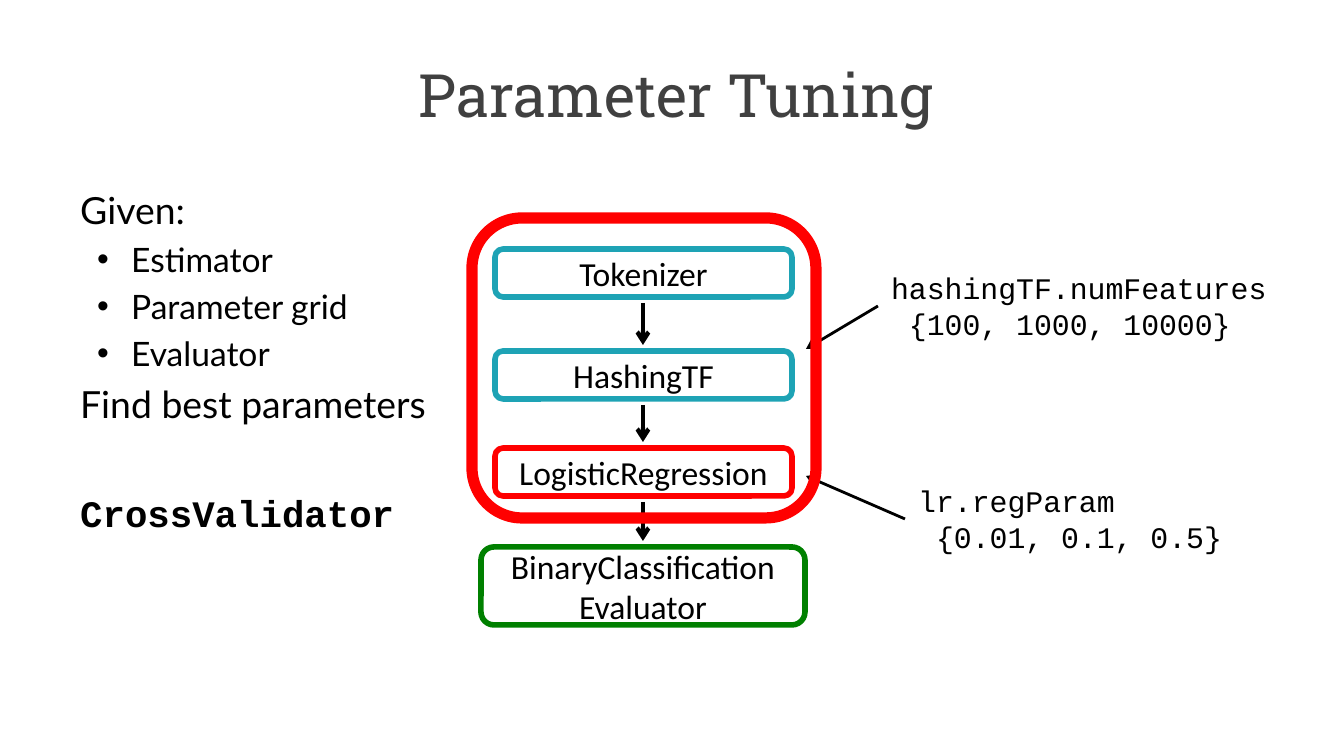
from itertools import pairwise

from lxml.etree import SubElement
from pptx import Presentation
from pptx.dml.color import RGBColor
from pptx.enum.shapes import MSO_CONNECTOR as Connector, MSO_SHAPE as Shape
from pptx.enum.text import MSO_ANCHOR as Anchor, MSO_AUTO_SIZE as AutoSize, PP_ALIGN as Align
from pptx.oxml.ns import qn
from pptx.util import Emu, Pt

PX = 914400 / 134.4
THEME = {
    "title": {"name": "Roboto Slab", "size": Pt(32), "color": "404040"},
    "body": {"name": "Lato", "size": Pt(20), "color": "000000"},
    "bullet": {"name": "Lato", "size": Pt(18), "color": "000000"},
    "stage": {"name": "Calibri", "size": Pt(18), "color": "000000"},
    "code": {"name": "Courier New", "size": Pt(16), "color": "000000"},
    "class": {"name": "Courier New", "size": Pt(20), "bold": True, "color": "000000"},
    "arrow": "000000",
    "transformer": "1EA3B5",
    "estimator": "FF0000",
    "evaluator": "008000",
}


def px(*lengths):
    return [Emu(round(length * PX)) for length in lengths]


def write(frame, lines, style, **para_format):
    for index, line in enumerate(lines):
        para = frame.paragraphs[0] if index == 0 else frame.add_paragraph()
        for name, value in para_format.items():
            setattr(para, name, value)
        span = para.add_run()
        span.text = line
        for name, value in THEME[style].items():
            if name == "color":
                span.font.color.rgb = RGBColor.from_string(value)
            else:
                setattr(span.font, name, value)


deck = Presentation()
deck.slide_width, deck.slide_height = px(1344, 756)
page = deck.slides.add_slide(deck.slide_layouts[6])

title = page.shapes.add_textbox(*px(149, 31, 1054, 126)).text_frame
title.word_wrap = True
title.vertical_anchor = Anchor.MIDDLE
write(title, ["Parameter Tuning"], "title", alignment=Align.CENTER)

summary = page.shapes.add_textbox(*px(67, 181, 383, 249)).text_frame
summary.word_wrap = True
summary_lines = [
    ("Given:", "body"),
    ("Estimator", "bullet"),
    ("Parameter grid", "bullet"),
    ("Evaluator", "bullet"),
    ("Find best parameters", "body"),
]
for index, (line, style) in enumerate(summary_lines):
    para = summary.paragraphs[0] if index == 0 else summary.add_paragraph()
    if index:
        para.space_before = THEME[style]["size"] // 5
    if style == "bullet":
        properties = para._p.get_or_add_pPr()
        properties.set("marL", str(px(51)[0]))
        properties.set("indent", str(px(-34)[0]))
        SubElement(properties, qn("a:buFont")).set("typeface", "Arial")
        SubElement(properties, qn("a:buChar")).set("char", "•")
    span = para.add_run()
    span.text = line
    span.font.name = THEME[style]["name"]
    span.font.size = THEME[style]["size"]
    span.font.color.rgb = RGBColor.from_string(THEME[style]["color"])

arrows = []
notes = [
    (["lr.regParam", " {0.01, 0.1, 0.5}"], (905, 476, 335, 86), (806, 476)),
    (["hashingTF.numFeatures", " {100, 1000, 10000}"], (878, 263, 407, 86), (806, 349)),
]
for lines, (left, top, width, height), target in notes:
    box = page.shapes.add_textbox(*px(left, top, width, height))
    box.text_frame.word_wrap = False
    box.text_frame.auto_size = AutoSize.SHAPE_TO_FIT_TEXT
    write(box.text_frame, lines, "code")
    arrows.append(((left, top + height // 2), target, 1.5, box))

stages = [
    (["Tokenizer"], "transformer", (495, 249, 297, 48)),
    (["HashingTF"], "transformer", (495, 351, 297, 48)),
    (["LogisticRegression"], "estimator", (495, 448, 297, 48)),
    (["BinaryClassification", "Evaluator"], "evaluator", (481, 547, 324, 78)),
]
frame = ([], "estimator", (472, 218, 344, 300))
for (_, _, upper), (_, _, lower) in pairwise(stages):
    center = upper[0] + upper[2] // 2
    arrows.append(((center, upper[1] + upper[3] + 6), (center, lower[1] - 6), 2.25, None))

for start, end, weight, source in arrows:
    arrow = page.shapes.add_connector(Connector.STRAIGHT, *px(*start, *end))
    if source is not None:
        arrow.begin_connect(source, 1)
    arrow.line.width = Pt(weight)
    arrow.line.color.rgb = RGBColor.from_string(THEME["arrow"])
    SubElement(arrow.line._get_or_add_ln(), qn("a:tailEnd")).set("type", "arrow")
    SubElement(arrow._element.spPr, qn("a:effectLst"))

for lines, role, bounds in [*stages, frame]:
    box = page.shapes.add_shape(Shape.ROUNDED_RECTANGLE, *px(*bounds))
    box.shadow.inherit = False
    box.fill.background()
    box.line.color.rgb = RGBColor.from_string(THEME[role])
    box.line.width = Pt(3 if lines else 6)
    box.text_frame.vertical_anchor = Anchor.MIDDLE
    write(box.text_frame, lines, "stage", alignment=Align.CENTER)

validator = page.shapes.add_textbox(*px(67, 484, 344, 59)).text_frame
validator.word_wrap = False
validator.auto_size = AutoSize.SHAPE_TO_FIT_TEXT
write(validator, ["CrossValidator"], "class")

deck.save("out.pptx")
